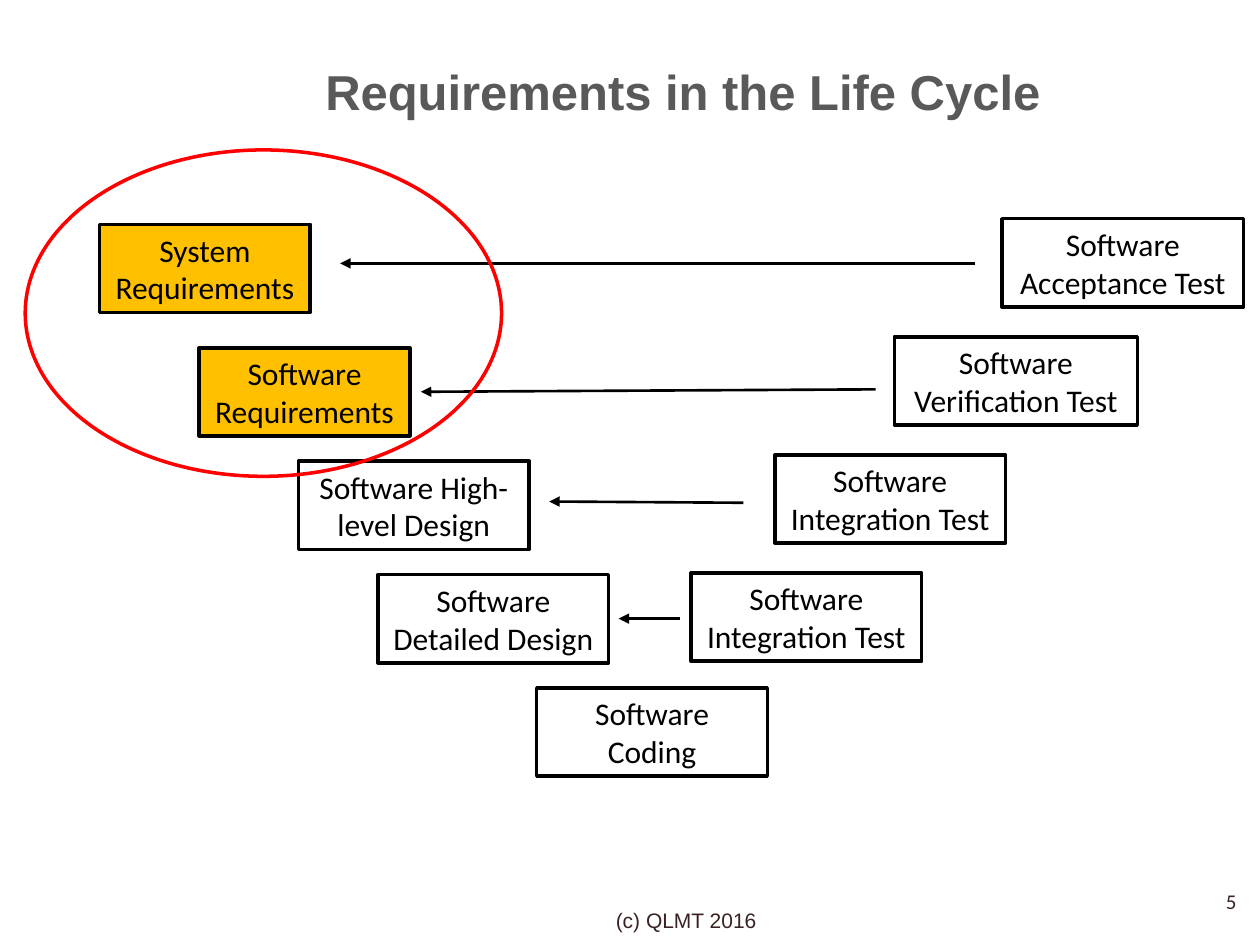
import dataclasses
import lxml.etree
import pptx
import pptx.dml.color
import pptx.enum.shapes
import pptx.enum.text
import pptx.oxml.ns
import pptx.util

Pt = pptx.util.Pt
Align = pptx.enum.text.PP_ALIGN
Shape = pptx.enum.shapes.MSO_SHAPE
qn = pptx.oxml.ns.qn

BLACK, AMBER, RED, GREY, BROWN = "000000", "FFC000", "FF0000", "595959", "3A2222"
HIGH = 50.4


@dataclasses.dataclass
class Stage:
    text: str
    left: float
    top: float
    width: float = 131.8
    fill: str | None = None


@dataclasses.dataclass
class Arrow:
    start: tuple[float, float]
    end: tuple[float, float]


@dataclasses.dataclass
class Label:
    text: str
    left: float
    top: float
    width: float
    height: float
    size: float
    font: str
    color: str
    align: Align = Align.CENTER
    bold: bool = False


STAGES = [
    Stage("System Requirements", 56.9, 128.2, 120.4, AMBER),
    Stage("Software Requirements", 113.8, 198.8, 120.4, AMBER),
    Stage("Software High-level Design", 170.6, 263.6),
    Stage("Software Detailed Design", 216, 328.4),
    Stage("Software Coding", 306.7, 393.2),
    Stage("Software Integration Test", 394.9, 327.5),
    Stage("Software Integration Test", 442.8, 260),
    Stage("Software Verification Test", 511.1, 192.5, 138.8),
    Stage("Software Acceptance Test", 572.5, 125, 138.2),
]
ARROWS = [
    Arrow((557.3, 150.5), (194.4, 150.5)),
    Arrow((500.4, 222.5), (240.5, 223.9)),
    Arrow((424.8, 287.3), (313.9, 286.6)),
    Arrow((388.8, 353.5), (353.5, 353.5)),
]
LABELS = [
    Label("Requirements in the Life Cycle", 66.2, 21.6, 648, 60.5,
          28, "Arial", GREY, bold=True),
    Label("(c) QLMT 2016", 308.2, 511.2, 167.8, 28.8, 12, "Arial", BROWN),
    Label("5", 545.8, 500.4, 167.8, 28.8, 12, "Calibri", BROWN, Align.RIGHT),
]


def paint(target, color: str) -> None:
    target.rgb = pptx.dml.color.RGBColor.from_string(color)


def write(frame, text: str, size: float, font: str, color: str,
          align: Align = Align.CENTER, bold: bool = False) -> None:
    frame.word_wrap = True
    frame.vertical_anchor = pptx.enum.text.MSO_ANCHOR.MIDDLE
    para = frame.paragraphs[0]
    para.text = text
    para.alignment = align
    para.font.size = Pt(size)
    para.font.name = font
    para.font.bold = bold
    paint(para.font.color, color)


def outline(slide, kind: Shape, left: float, top: float, width: float,
            height: float, line: str, fill: str | None = None):
    shape = slide.shapes.add_shape(kind, Pt(left), Pt(top), Pt(width), Pt(height))
    shape.shadow.inherit = False
    if fill:
        shape.fill.solid()
        paint(shape.fill.fore_color, fill)
    else:
        shape.fill.background()
    shape.line.width = Pt(2)
    paint(shape.line.color, line)
    return shape


def draw_stage(slide, stage: Stage) -> None:
    box = outline(slide, Shape.RECTANGLE, stage.left, stage.top,
                  stage.width, HIGH, BLACK, stage.fill)
    write(box.text_frame, stage.text, 18, "Calibri", BLACK)


def draw_arrow(slide, arrow: Arrow) -> None:
    ends = [Pt(n) for n in (*arrow.start, *arrow.end)]
    line = slide.shapes.add_connector(
        pptx.enum.shapes.MSO_CONNECTOR.STRAIGHT, *ends)
    line.line.width = Pt(1.5)
    paint(line.line.color, BLACK)
    props = line._element.spPr
    tail = lxml.etree.SubElement(props.find(qn("a:ln")), qn("a:tailEnd"))
    tail.set("type", "triangle")
    lxml.etree.SubElement(props, qn("a:effectLst"))


def draw_label(slide, label: Label) -> None:
    box = slide.shapes.add_textbox(Pt(label.left), Pt(label.top),
                                   Pt(label.width), Pt(label.height))
    write(box.text_frame, label.text, label.size, label.font,
          label.color, label.align, label.bold)


def main() -> None:
    deck = pptx.Presentation()
    deck.slide_width, deck.slide_height = Pt(720), Pt(540)
    slide = deck.slides.add_slide(deck.slide_layouts[6])
    for stage in STAGES:
        draw_stage(slide, stage)
    for arrow in ARROWS:
        draw_arrow(slide, arrow)
    outline(slide, Shape.OVAL, 14.4, 85.7, 272.2, 186.5, RED)
    for label in LABELS:
        draw_label(slide, label)
    deck.save("out.pptx")


if __name__ == "__main__":
    main()
